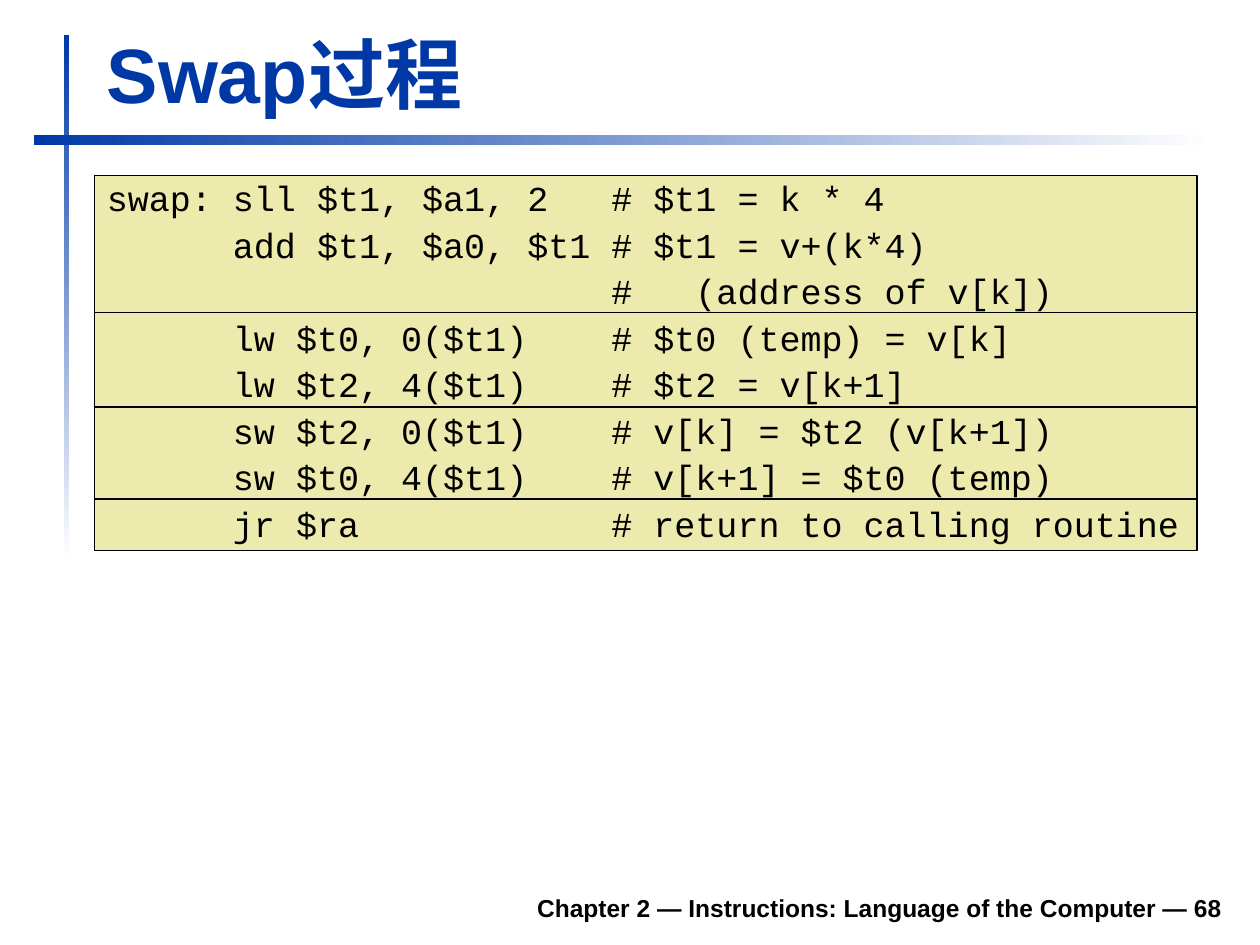
import dataclasses

import pptx
import pptx.dml.color
import pptx.enum.shapes
import pptx.enum.text
import pptx.oxml
import pptx.oxml.ns
import pptx.util

ALIGN = pptx.enum.text.PP_ALIGN
ANCHOR = pptx.enum.text.MSO_ANCHOR
FIT = pptx.enum.text.MSO_AUTO_SIZE
WIDTH, HEIGHT = 10, 7.5
LEFT = 0.75  # shared left edge of title, blocks and code


@dataclasses.dataclass(frozen=True)
class Theme:
    blue: str = "0039A6"
    white: str = "FFFFFF"
    black: str = "000000"
    sand: str = "ECEAAC"
    sans: str = "Arial"
    mono: str = "Courier New"
    chinese: str = "Noto Sans CJK SC"
    title_size: int = 44
    code_size: int = 20
    code_gap: int = 5
    footer_size: int = 14
    border: float = 0.75


THEME = Theme()

# Each block of instructions: height of its panel and its lines of code
BLOCKS = [
    (1.09, ["swap: sll $t1, $a1, 2   # $t1 = k * 4",
            "      add $t1, $a0, $t1 # $t1 = v+(k*4)",
            "                        #   (address of v[k])"]),
    (0.75, ["      lw $t0, 0($t1)    # $t0 (temp) = v[k]",
            "      lw $t2, 4($t1)    # $t2 = v[k+1]"]),
    (0.73, ["      sw $t2, 0($t1)    # v[k] = $t2 (v[k+1])",
            "      sw $t0, 4($t1)    # v[k+1] = $t0 (temp)"]),
    (0.41, ["      jr $ra            # return to calling routine"]),
]
CODE_TOP = 1.39


def rgb(value):
    return pptx.dml.color.RGBColor.from_string(value)


def inches(*lengths):
    return [pptx.util.Inches(length) for length in lengths]


def apply(target, formats):
    for name, value in formats.items():
        setattr(target, name, value)


def add_rectangle(page, *place):
    kind = pptx.enum.shapes.MSO_SHAPE.RECTANGLE
    box = page.shapes.add_shape(kind, *inches(*place))
    box.shadow.inherit = False
    return box


def add_fading_bar(page, place, angle):
    bar = add_rectangle(page, *place)
    bar.line.fill.background()
    bar.fill.gradient()
    bar.fill.gradient_angle = angle
    for stop, color in zip(bar.fill.gradient_stops, (THEME.blue, THEME.white)):
        stop.color.rgb = rgb(color)


def add_panel(page, *place):
    panel = add_rectangle(page, *place)
    panel.fill.solid()
    panel.fill.fore_color.rgb = rgb(THEME.sand)
    panel.line.color.rgb = rgb(THEME.black)
    panel.line.width = pptx.util.Pt(THEME.border)


def add_text(page, place, lines, frame_format, para_format, font_format, color):
    """Add a text box with one paragraph per line."""
    box = page.shapes.add_textbox(*inches(*place))
    frame = box.text_frame
    apply(frame, {"word_wrap": True, **frame_format})
    for number, line in enumerate(lines):
        para = frame.add_paragraph() if number else frame.paragraphs[0]
        apply(para, para_format)
        if not number:
            para.space_before = pptx.util.Pt(0)
        span = para.add_run()
        span.text = line
        apply(span.font, font_format)
        span.font.color.rgb = rgb(color)
    return box


def set_chinese_font(box, name):
    for para in box.text_frame.paragraphs:
        for span in para.runs:
            east = pptx.oxml.parse_xml(
                f'<a:ea {pptx.oxml.ns.nsdecls("a")} typeface="{name}"/>')
            span.font._element.find(pptx.oxml.ns.qn("a:latin")).addnext(east)


def main():
    deck = pptx.Presentation()
    deck.slide_width, deck.slide_height = inches(WIDTH, HEIGHT)
    page = deck.slides.add_slide(deck.slide_layouts[6])

    # Crossing bars that fade to white
    add_fading_bar(page, (0.51, 0.28, 0.04, 4.17), 270)
    add_fading_bar(page, (0.27, 1.07, 9.37, 0.08), 0)

    # Footer
    add_text(page, (1.85, 6.98, 7.95, 0.39),
             ["Chapter 2 — Instructions: Language of the Computer — 68"],
             {"vertical_anchor": ANCHOR.BOTTOM}, {"alignment": ALIGN.RIGHT},
             {"name": THEME.sans, "size": pptx.util.Pt(THEME.footer_size), "bold": True},
             THEME.black)

    # Stacked panels behind the code
    top = CODE_TOP
    for height, _ in BLOCKS:
        add_panel(page, LEFT, top, 8.75, height)
        top += height

    # Title: the renderer spaces Latin and Chinese text apart by itself
    title = add_text(page, (LEFT, 0.15, 9.03, 0.84), ["Swap过程"],
                     {"vertical_anchor": ANCHOR.BOTTOM, "auto_size": FIT.SHAPE_TO_FIT_TEXT},
                     {"alignment": ALIGN.LEFT},
                     {"name": THEME.sans, "size": pptx.util.Pt(THEME.title_size), "bold": True},
                     THEME.blue)
    set_chinese_font(title, THEME.chinese)

    # Code
    add_text(page, (LEFT, CODE_TOP, 9.04, 5.43),
             [line for _, lines in BLOCKS for line in lines],
             {"vertical_anchor": ANCHOR.TOP},
             {"line_spacing": 0.9, "space_before": pptx.util.Pt(THEME.code_gap)},
             {"name": THEME.mono, "size": pptx.util.Pt(THEME.code_size)}, THEME.black)

    deck.save("out.pptx")


if __name__ == "__main__":
    main()
